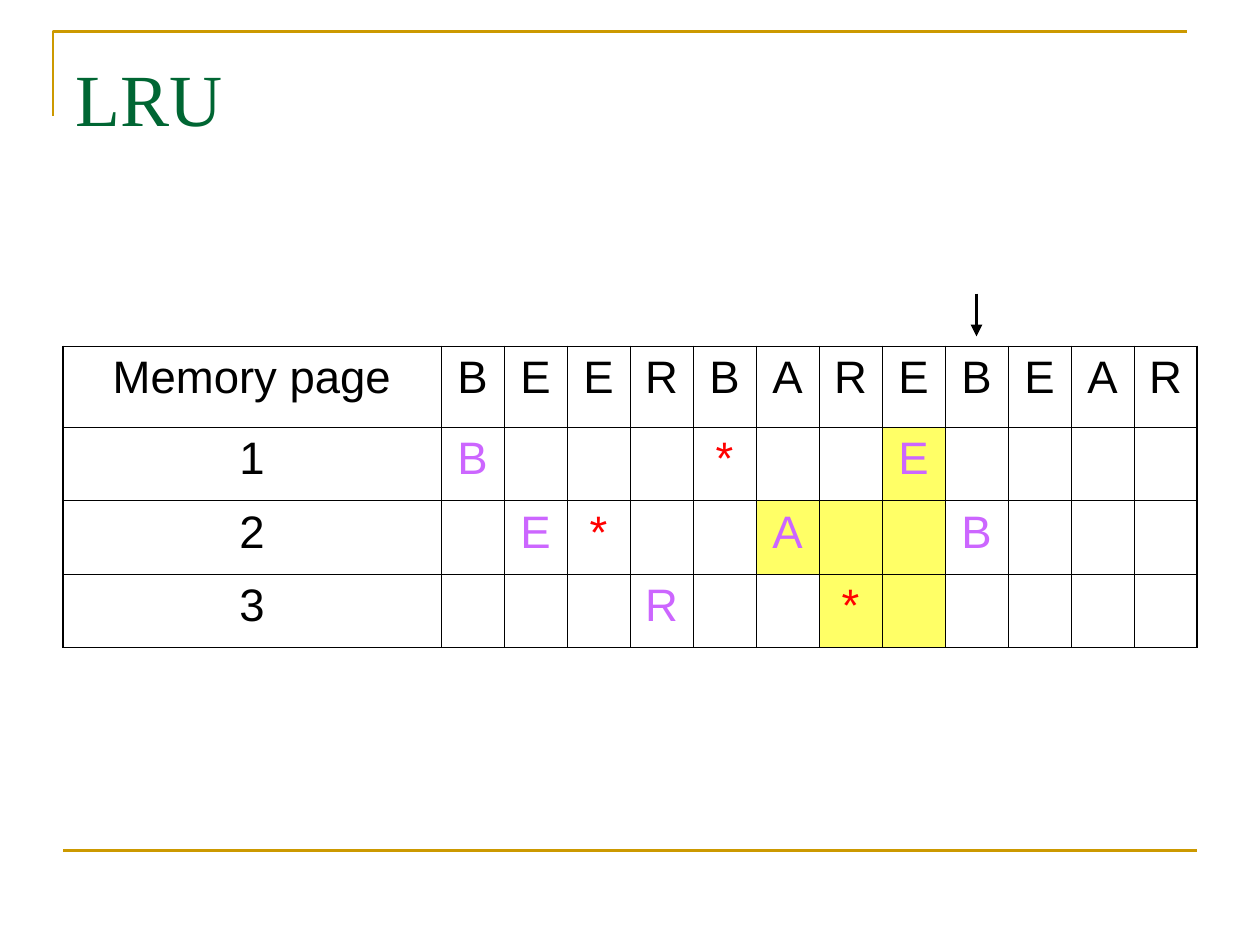
from lxml.etree import SubElement
from pptx import Presentation
from pptx.dml.color import RGBColor
from pptx.enum.shapes import MSO_CONNECTOR
from pptx.enum.text import MSO_ANCHOR, PP_ALIGN
from pptx.oxml.ns import qn
from pptx.util import Inches, Pt

GOLD = RGBColor(0xCC, 0x99, 0x00)
GREEN = RGBColor(0x00, 0x66, 0x33)
BLACK = RGBColor(0x00, 0x00, 0x00)
WHITE = RGBColor(0xFF, 0xFF, 0xFF)
VIOLET = RGBColor(0xCC, 0x66, 0xFF)
RED = RGBColor(0xFF, 0x00, 0x00)
YELLOW = RGBColor(0xFF, 0xFF, 0x66)

TITLE = {"name": "Times New Roman", "size": Pt(42)}
BODY = {"name": "Arial", "size": Pt(26)}

# One character per page request; a dot is an empty cell
REFS = "BEERBAREBEAR"
FRAMES = ["B...*..E....", ".E*..A..B...".replace("*..A", "*..A"), "...R..*....."]
# Highlighted (row, column) cells
MARKED = {(1, 8), (2, 6), (2, 7), (2, 8), (3, 7), (3, 8)}


def style(run, form, color):
    for key, value in form.items():
        setattr(run.font, key, value)
    run.font.color.rgb = color


def add_line(slide, x1, y1, x2, y2, color, width):
    line = slide.shapes.add_connector(
        MSO_CONNECTOR.STRAIGHT, Inches(x1), Inches(y1), Inches(x2), Inches(y2))
    line.line.color.rgb = color
    line.line.width = Pt(width)
    SubElement(line._element.spPr, qn("a:effectLst"))
    return line


def add_frame(slide, x, y, w, h):
    # Corner rule at the top left
    pen = slide.shapes.build_freeform(Inches(x), Inches(y + h))
    pen.add_line_segments(
        [(Inches(x), Inches(y)), (Inches(x + w), Inches(y))], close=False)
    rule = pen.convert_to_shape()
    rule.shadow.inherit = False
    rule.fill.background()
    rule.line.color.rgb = GOLD
    rule.line.width = Pt(1.5)
    # Footer rule
    add_line(slide, x + 0.08, 6.75, x + 0.08 + w, 6.75, GOLD, 1.5)


def add_title(slide, x, y, w, h, text):
    frame = slide.shapes.add_textbox(
        Inches(x), Inches(y), Inches(w), Inches(h)).text_frame
    frame.word_wrap = True
    frame.margin_top = Inches(0.12)
    run = frame.paragraphs[0].add_run()
    run.text = text
    style(run, TITLE, GREEN)


def set_edge(cell, side, width):
    edge = SubElement(cell._tc.get_or_add_tcPr(), qn(f"a:{side}"),
                      w=str(int(Pt(width))))
    fill = SubElement(edge, qn("a:solidFill"))
    SubElement(fill, qn("a:srgbClr"), val=str(BLACK))


def fill_cell(cell, text, color, back, edges):
    for side, outer in edges.items():
        set_edge(cell, side, 1.08 if outer else 0.45)
    cell.fill.solid()
    cell.fill.fore_color.rgb = back
    cell.vertical_anchor = MSO_ANCHOR.TOP
    para = cell.text_frame.paragraphs[0]
    para.alignment = PP_ALIGN.CENTER
    if text != ".":
        run = para.add_run()
        run.text = text
        style(run, BODY, color)


def add_grid(slide, x, y, w, h):
    rows = [["Memory page", *REFS]]
    rows += [[str(num), *line] for num, line in enumerate(FRAMES, 1)]
    last, end = len(rows) - 1, len(REFS)
    table = slide.shapes.add_table(
        last + 1, end + 1, Inches(x), Inches(y), Inches(w), Inches(h)).table
    table.first_row = table.horz_banding = False
    label, head = 3, 0.64
    for c, col in enumerate(table.columns):
        col.width = Inches((w - label) / end if c else label)
    for r, row in enumerate(table.rows):
        row.height = Inches((h - head) / last if r else head)
    for r, line in enumerate(rows):
        for c, text in enumerate(line):
            color = RED if text == "*" else VIOLET if r and c else BLACK
            back = YELLOW if (r, c) in MARKED else WHITE
            edges = {"lnL": c == 0, "lnR": c == end,
                     "lnT": r == 0, "lnB": r == last}
            fill_cell(table.cell(r, c), text, color, back, edges)


def add_arrow(slide, x, y, h):
    # Pointer to the current request
    arrow = add_line(slide, x, y, x, y + h, BLACK, 2.25)
    SubElement(arrow.line._get_or_add_ln(), qn("a:tailEnd"), type="triangle")


def main():
    deck = Presentation()
    deck.slide_width, deck.slide_height = Inches(10), Inches(7.5)
    slide = deck.slides.add_slide(deck.slide_layouts[6])
    add_frame(slide, 0.42, 0.25, 9, 0.67)
    add_title(slide, 0.5, 0.3, 9, 1.25, "LRU")
    add_grid(slide, 0.5, 2.75, 9, 2.39)
    add_arrow(slide, 7.75, 2.33, 0.34)
    deck.save("out.pptx")


if __name__ == "__main__":
    main()
